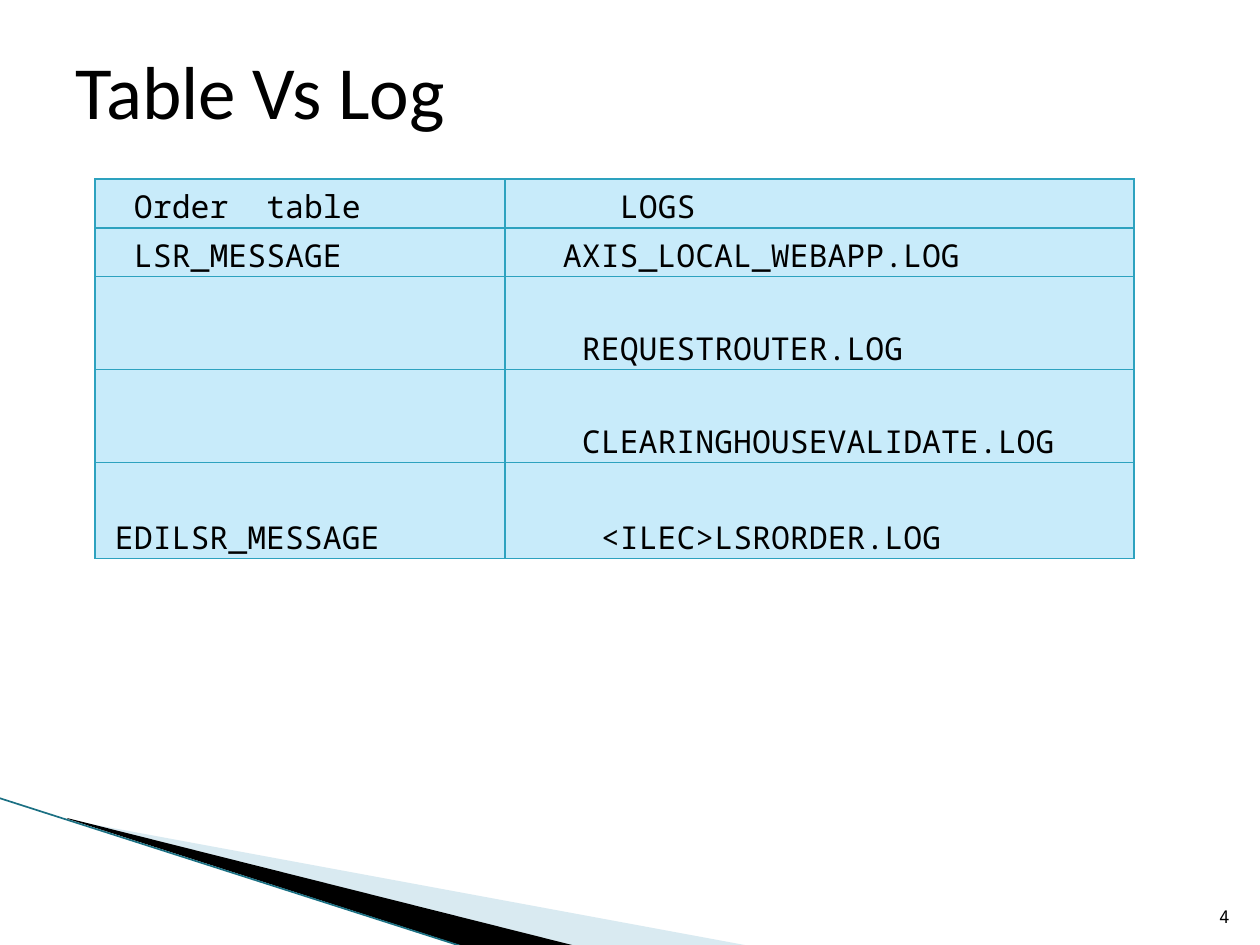
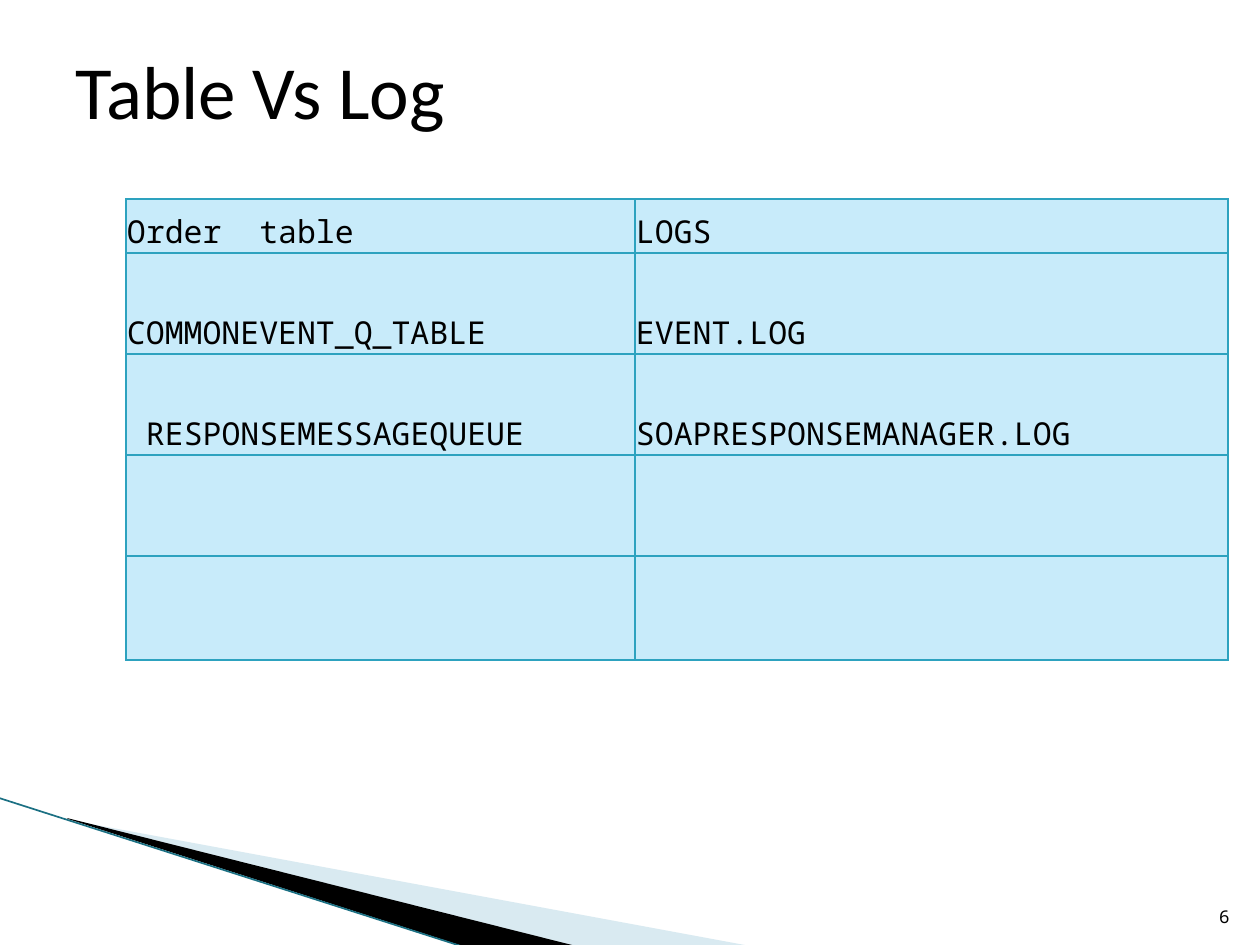
from lxml.etree import SubElement
from pptx import Presentation
from pptx.dml.color import RGBColor
from pptx.enum.shapes import MSO_CONNECTOR
from pptx.enum.text import MSO_ANCHOR, MSO_AUTO_SIZE, PP_ALIGN
from pptx.oxml.ns import qn
from pptx.util import Emu, Pt

SCALE = 914400 / 126
BLACK = RGBColor(0x00, 0x00, 0x00)
PALE = RGBColor(0xA0, 0xCB, 0xDC)
TEAL = RGBColor(0x1B, 0x70, 0x83)
EDGE = RGBColor(0x2D, 0xA2, 0xBF)
CELL = RGBColor(0xC8, 0xEB, 0xFA)
MONO = "Noto Sans Mono"
INDENT = 19  # width of one monospaced letter at 18 pt

WEDGES = [
    (PALE, [(69, 820), (750, 946), (575, 946), (69, 819)]),
    (BLACK, [(67, 818), (576, 946), (469, 948), (68, 819)]),
]

# Each cell is its text and its indent in letters.
PAGES = [
    {
        "number": "4", "at": (95, 179), "cols": (410, 629),
        "rows": (49, 49, 93, 93, 96),
        "cells": [
            [("Order  table", 2), ("LOGS", 6)],
            [("LSR_MESSAGE", 2), ("AXIS_LOCAL_WEBAPP.LOG", 3)],
            [("", 0), ("REQUESTROUTER.LOG", 4)],
            [("", 0), ("CLEARINGHOUSEVALIDATE.LOG", 4)],
            [("EDILSR_MESSAGE", 1), ("<ILEC>LSRORDER.LOG", 5)],
        ],
    },
    {
        "number": "6", "at": (126, 199), "cols": (509, 593),
        "rows": (54, 101, 101, 101, 104),
        "cells": [
            [("Order  table", 0), ("LOGS", 0)],
            [("COMMONEVENT_Q_TABLE", 0), ("EVENT.LOG", 0)],
            [("RESPONSEMESSAGEQUEUE", 1), ("SOAPRESPONSEMANAGER.LOG", 0)],
            [("", 0), ("", 0)],
            [("", 0), ("", 0)],
        ],
    },
]


def px(n):
    return Emu(round(n * SCALE))


def write(para, text, size, font):
    run = para.add_run()
    run.text = text
    run.font.size = Pt(size)
    run.font.name = font
    run.font.bold = False
    run.font.color.rgb = BLACK


deck = Presentation()
deck.slide_width, deck.slide_height = px(1260), px(945)

for page in PAGES:
    slide = deck.slides.add_slide(deck.slide_layouts[5])
    shapes = slide.shapes

    # Corner wedges and the line along them
    for color, points in WEDGES:
        pen = shapes.build_freeform(*points[0], scale=SCALE)
        pen.add_line_segments(points[1:], close=True)
        wedge = pen.convert_to_shape()
        wedge.shadow.inherit = False
        wedge.fill.solid()
        wedge.fill.fore_color.rgb = color
        wedge.line.fill.background()
        if color == PALE:
            tint = wedge.fill._xPr.find(".//" + qn("a:srgbClr"))
            SubElement(tint, qn("a:alpha"), val="40000")
    slope = shapes.add_connector(
        MSO_CONNECTOR.STRAIGHT, px(-1), px(798), px(467), px(948))
    slope.line.color.rgb = TEAL
    slope.line.width = Pt(0.95)
    SubElement(slope._element.spPr, qn("a:effectLst"))

    # Page number
    frame = shapes.add_textbox(px(1192), px(883), px(50), px(50)).text_frame
    frame.word_wrap = True
    frame.vertical_anchor = MSO_ANCHOR.BOTTOM
    frame.paragraphs[0].alignment = PP_ALIGN.RIGHT
    write(frame.paragraphs[0], page["number"], 10, MONO)

    # Table
    rows, cols = page["rows"], page["cols"]
    left, top = page["at"]
    table = shapes.add_table(
        len(rows), len(cols), px(left), px(top),
        px(sum(cols)), px(sum(rows))).table
    table.first_row = table.horz_banding = False
    for col, width in zip(table.columns, cols):
        col.width = px(width)
    for row, height, line in zip(table.rows, rows, page["cells"]):
        row.height = px(height)
        for cell, (text, indent) in zip(row.cells, line):
            cell.margin_left = px(1 + indent * INDENT)
            cell.margin_right = cell.margin_top = px(1)
            cell.margin_bottom = 0
            cell.vertical_anchor = MSO_ANCHOR.BOTTOM
            props = cell._tc.get_or_add_tcPr()
            for side in ("lnL", "lnR", "lnT", "lnB"):
                edge = SubElement(props, qn("a:" + side), w=str(Pt(0.75)))
                fill = SubElement(edge, qn("a:solidFill"))
                SubElement(fill, qn("a:srgbClr"), val=str(EDGE))
            cell.fill.solid()
            cell.fill.fore_color.rgb = CELL
            if text:
                write(cell.text_frame.paragraphs[0], text, 18, MONO)

    # Title
    title = shapes.title
    title.left, title.top = px(63), px(38)
    title.width, title.height = px(1134), px(158)
    frame = title.text_frame
    frame.auto_size = MSO_AUTO_SIZE.NONE
    frame.vertical_anchor = MSO_ANCHOR.TOP
    frame.paragraphs[0].alignment = PP_ALIGN.LEFT
    write(frame.paragraphs[0], "Table Vs Log", 42.9, "Calibri")

deck.save("out.pptx")
